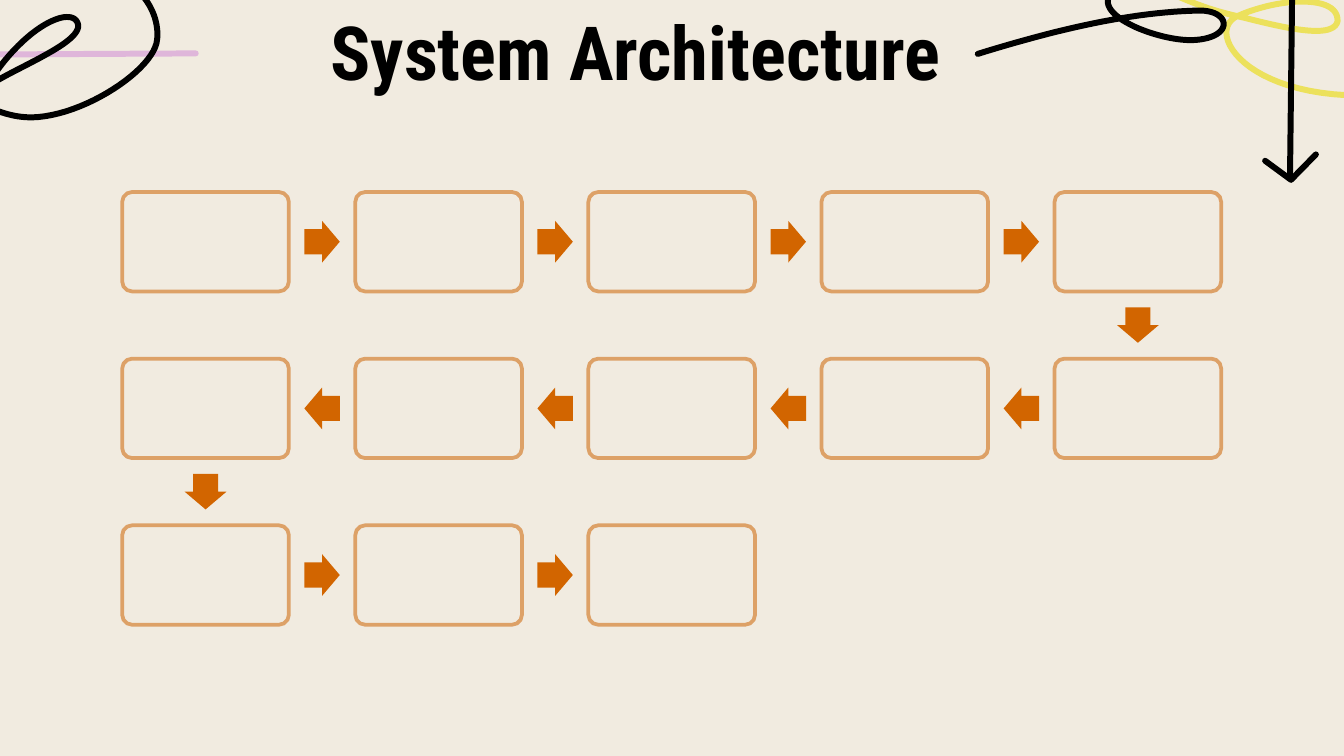
from dataclasses import dataclass
from math import atan2, degrees

from pptx import Presentation
from pptx.dml.color import RGBColor
from pptx.enum.shapes import MSO_SHAPE as Preset
from pptx.enum.text import MSO_ANCHOR as Anchor, PP_ALIGN as Align
from pptx.oxml.ns import qn
from pptx.util import Cm, Pt


@dataclass(frozen=True)
class Theme:
    paper: str = "F1EBE0"
    ink: str = "000000"
    pink: str = "DFB6DA"
    yellow: str = "ECE15C"
    frame: str = "DDA167"
    arrow: str = "D26500"
    font: str = "Roboto Condensed"
    title_size: float = 40
    frame_width: float = 2
    stroke_width: float = 3.2


@dataclass(frozen=True)
class Box:
    left: float
    top: float
    width: float
    height: float

    @property
    def center(self):
        return self.left + self.width / 2, self.top + self.height / 2

    def lengths(self):
        return Cm(self.left), Cm(self.top), Cm(self.width), Cm(self.height)


THEME = Theme()
PAGE = Box(0, 0, 25.4, 14.29)


def color(name):
    return RGBColor.from_string(name)


def add_text(page, box, text, size, font, ink, bold=False, align=Align.LEFT):
    frame = page.shapes.add_textbox(*box.lengths()).text_frame
    frame.word_wrap = True
    frame.vertical_anchor = Anchor.MIDDLE
    para = frame.paragraphs[0]
    para.alignment = align
    span = para.add_run()
    span.text = text
    span.font.size = Pt(size)
    span.font.name = font
    span.font.bold = bold
    span.font.color.rgb = color(ink)


def add_preset(shapes, preset, box, fill, adjustments, line=None, rotation=0):
    shape = shapes.add_shape(preset, *box.lengths())
    shape.shadow.inherit = False
    shape.rotation = rotation
    for index, value in enumerate(adjustments):
        shape.adjustments[index] = value
    shape.fill.solid()
    shape.fill.fore_color.rgb = color(fill)
    if line:
        shape.line.color.rgb = color(line)
        shape.line.width = Pt(THEME.frame_width)
    else:
        shape.line.fill.background()


def curve_points(start, curves, steps=24):
    points = [start]
    for first, second, end in curves:
        start = points[-1]
        for step in range(1, steps + 1):
            t = step / steps
            weights = (1 - t) ** 3, 3 * t * (1 - t) ** 2, 3 * t * t * (1 - t), t ** 3
            corners = start, first, second, end
            points.append(tuple(
                sum(weight * corner[axis] for weight, corner in zip(weights, corners))
                for axis in (0, 1)))
    return points


def add_stroke(page, box, points, ink):
    placed = [(Cm(box.left + x), Cm(box.top + y)) for x, y in points]
    builder = page.shapes.build_freeform(*placed[0])
    builder.add_line_segments(placed[1:], close=False)
    shape = builder.convert_to_shape()
    shape.shadow.inherit = False
    shape.fill.background()
    shape.line.color.rgb = color(ink)
    shape.line.width = Pt(THEME.stroke_width)
    line = shape._element.spPr.find(qn("a:ln"))
    line.set("cap", "rnd")


def add_left_doodle(page, box):
    add_stroke(page, box, [(0, 1.03), (3.7, 1.01)], THEME.pink)
    add_stroke(page, box, curve_points((2.72, -0.05), [
        ((2.92, 0.2), (3, 0.5), (2.97, 0.75)),
        ((2.93, 1.3), (1.6, 2.2), (0.6, 2.22)),
        ((0.35, 2.22), (0.15, 2.17), (-0.1, 2.08)),
    ]), THEME.ink)
    add_stroke(page, box, curve_points((-0.1, 1.55), [
        ((0.5, 1.2), (1.5, 0.8), (1.48, 0.48)),
        ((1.42, 0.1), (0.6, 0.4), (-0.1, 1.4)),
    ]), THEME.ink)


def add_right_doodle(page, box):
    add_stroke(page, box, curve_points((3.9, -0.05), [
        ((4.3, 0.12), (4.6, 0.22), (5, 0.31)),
        ((5.6, 0.45), (6.8, 0.8), (6.88, 0.4)),
        ((6.9, -0.1), (5.8, -0.05), (5, 0.3)),
        ((4.4, 0.55), (5, 1.7), (7.05, 1.8)),
    ]), THEME.yellow)
    add_stroke(page, box, curve_points((0.08, 1.02), [
        ((1.6, 0.55), (3, 0.22), (4.3, 0.2)),
        ((4.9, 0.22), (4.9, 0.75), (4.1, 0.76)),
        ((3.5, 0.76), (2.4, 0.35), (2.55, -0.05)),
    ]), THEME.ink)
    add_stroke(page, box, [(6.02, -0.05), (5.98, 3.38)], THEME.ink)
    add_stroke(page, box, [(5.51, 3.04), (6, 3.4), (6.47, 2.92)], THEME.ink)


def add_title(page, box):
    add_text(page, box, "System Architecture", size=THEME.title_size,
             font=THEME.font, ink=THEME.ink, bold=True, align=Align.CENTER)


def add_snake_flow(page, box, count=13, columns=5, rows=3):
    width, height = 3.15, 1.88
    arrow_width, arrow_height = 0.67, 0.79
    column_pitch = (box.width - width) / (columns - 1)
    row_pitch = (box.height - height) / (rows - 1)
    steps = []
    for index in range(count):
        row, column = divmod(index, columns)
        if row % 2:
            column = columns - 1 - column
        steps.append(Box(box.left + column * column_pitch,
                         box.top + row * row_pitch, width, height))

    shapes = page.shapes.add_group_shape().shapes
    for step, following in zip(steps, steps[1:] + [None]):
        add_preset(shapes, Preset.ROUNDED_RECTANGLE, step, THEME.paper, [0.1],
                   line=THEME.frame)
        if following:
            (x, y), (next_x, next_y) = step.center, following.center
            arrow = Box((x + next_x - arrow_width) / 2,
                        (y + next_y - arrow_height) / 2, arrow_width, arrow_height)
            add_preset(shapes, Preset.RIGHT_ARROW, arrow, THEME.arrow, [0.6, 0.5],
                       rotation=round(degrees(atan2(next_y - y, next_x - x))) % 360)


def main():
    deck = Presentation()
    deck.slide_width, deck.slide_height = Cm(PAGE.width), Cm(PAGE.height)
    page = deck.slides.add_slide(deck.slide_layouts[6])
    page.background.fill.solid()
    page.background.fill.fore_color.rgb = color(THEME.paper)
    add_left_doodle(page, Box(0, 0, 3.7, 2.25))
    add_right_doodle(page, Box(18.4, 0, 7, 3.4))
    add_title(page, Box(1.3, 0.3, 21.41, 1.32))
    add_snake_flow(page, Box(2.31, 3.63, 20.77, 8.18))
    deck.save("out.pptx")


if __name__ == "__main__":
    main()
